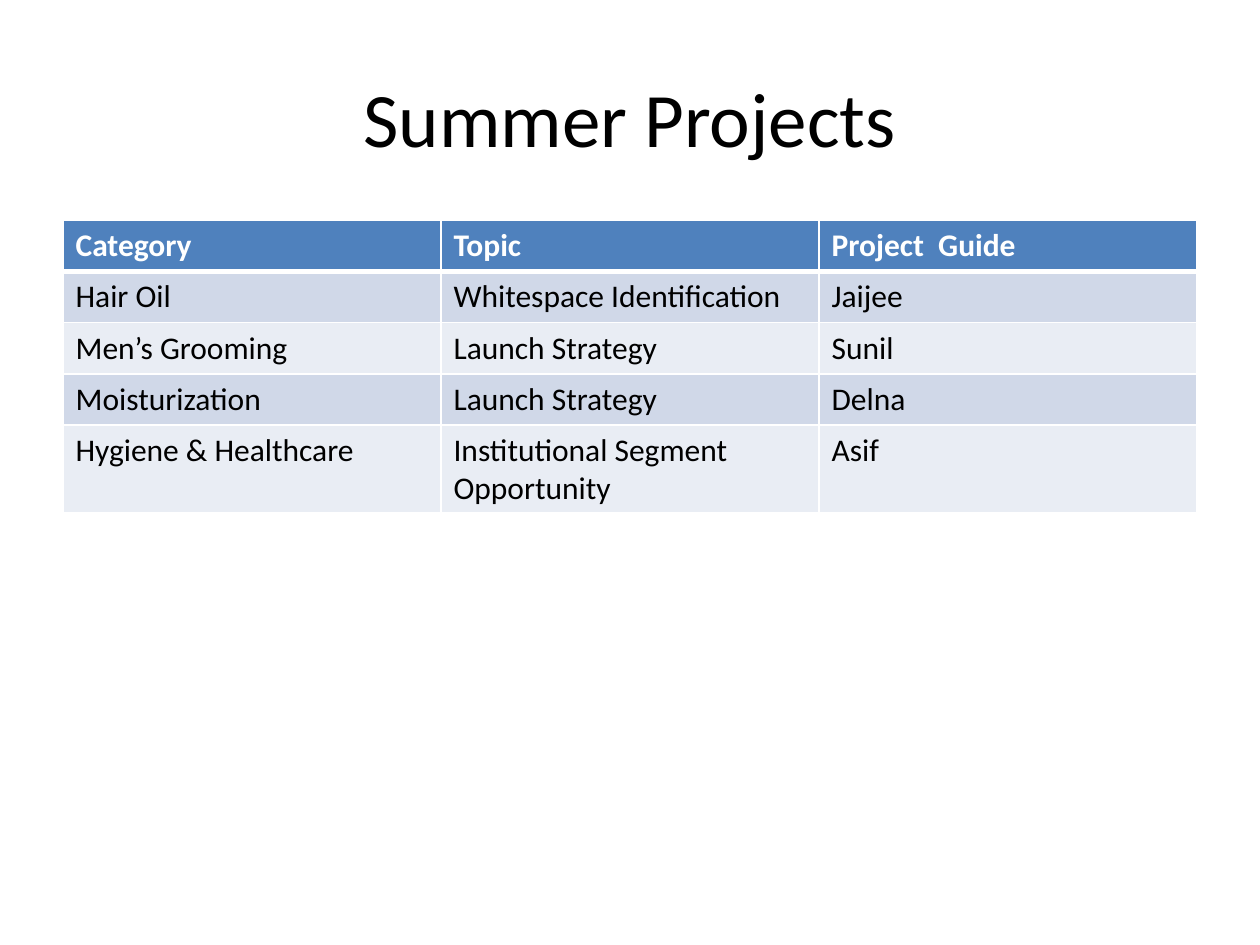
from lxml.etree import SubElement
from pptx import Presentation
from pptx.dml.color import RGBColor
from pptx.enum.text import MSO_ANCHOR, PP_ALIGN
from pptx.oxml.ns import qn
from pptx.util import Pt

TITLE = "Summer Projects"
ROWS = [
    ("Category", "Topic", "Project  Guide"),
    ("Hair Oil", "Whitespace Identification", "Jaijee"),
    ("Men’s Grooming", "Launch Strategy", "Sunil"),
    ("Moisturization", "Launch Strategy", "Delna"),
    ("Hygiene & Healthcare", "Institutional Segment Opportunity", "Asif"),
]
HEIGHTS = [29.2] * 4 + [50.4]
LEFT, WIDTH = 36, 648

BLACK = RGBColor(0x00, 0x00, 0x00)
WHITE = RGBColor(0xFF, 0xFF, 0xFF)
BLUE = RGBColor(0x4F, 0x81, 0xBD)
BANDS = [RGBColor(0xE9, 0xED, 0xF4), RGBColor(0xD0, 0xD8, 0xE8)]


def write(frame, text, size=18, color=BLACK, bold=False, align=PP_ALIGN.LEFT):
    frame.word_wrap = True
    par = frame.paragraphs[0]
    par.alignment = align
    run = par.add_run()
    run.text = text
    font = run.font
    font.name, font.size, font.bold = "Calibri", Pt(size), bold
    font.color.rgb = color


def border(cell, **widths):
    props = cell._tc.get_or_add_tcPr()
    for side in "LRTB":
        line = SubElement(props, qn(f"a:ln{side}"), w=str(Pt(widths.get(side, 1))))
        fill = SubElement(line, qn("a:solidFill"))
        SubElement(fill, qn("a:srgbClr"), val=str(WHITE))


deck = Presentation()
deck.slide_width, deck.slide_height = Pt(720), Pt(540)
slide = deck.slides.add_slide(deck.slide_layouts[6])

title = slide.shapes.add_textbox(Pt(LEFT), Pt(21.6), Pt(WIDTH), Pt(90)).text_frame
title.vertical_anchor = MSO_ANCHOR.MIDDLE
write(title, TITLE, size=44, align=PP_ALIGN.CENTER)

cols = len(ROWS[0])
table = slide.shapes.add_table(
    len(ROWS), cols, Pt(LEFT), Pt(126), Pt(WIDTH), Pt(sum(HEIGHTS))
).table
for col in table.columns:
    col.width = Pt(WIDTH / cols)

for r, (row, height) in enumerate(zip(ROWS, HEIGHTS)):
    table.rows[r].height = Pt(height)
    head = r == 0
    for c, text in enumerate(row):
        cell = table.cell(r, c)
        border(cell, T=3 if r == 1 else 1, B=3 if head else 1)
        cell.fill.solid()
        cell.fill.fore_color.rgb = BLUE if head else BANDS[r % 2]
        write(cell.text_frame, text, color=WHITE if head else BLACK, bold=head)

deck.save("out.pptx")
